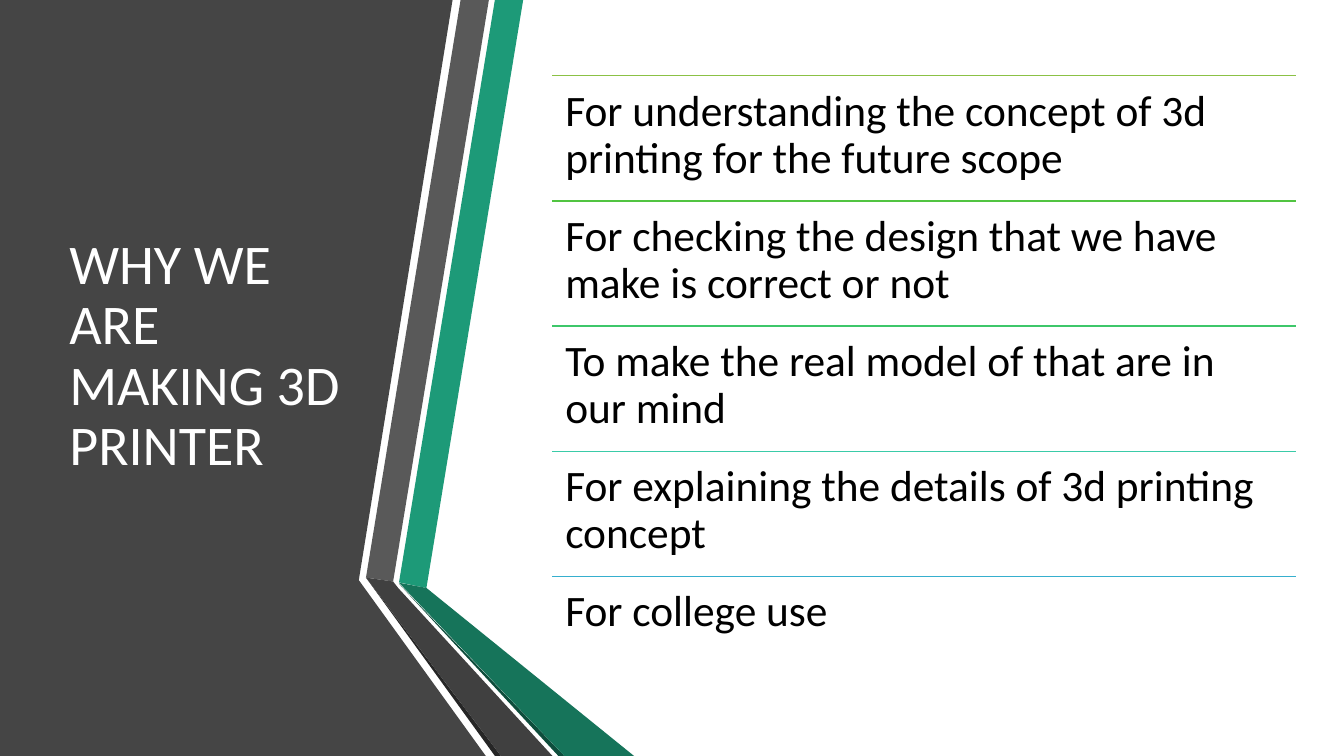
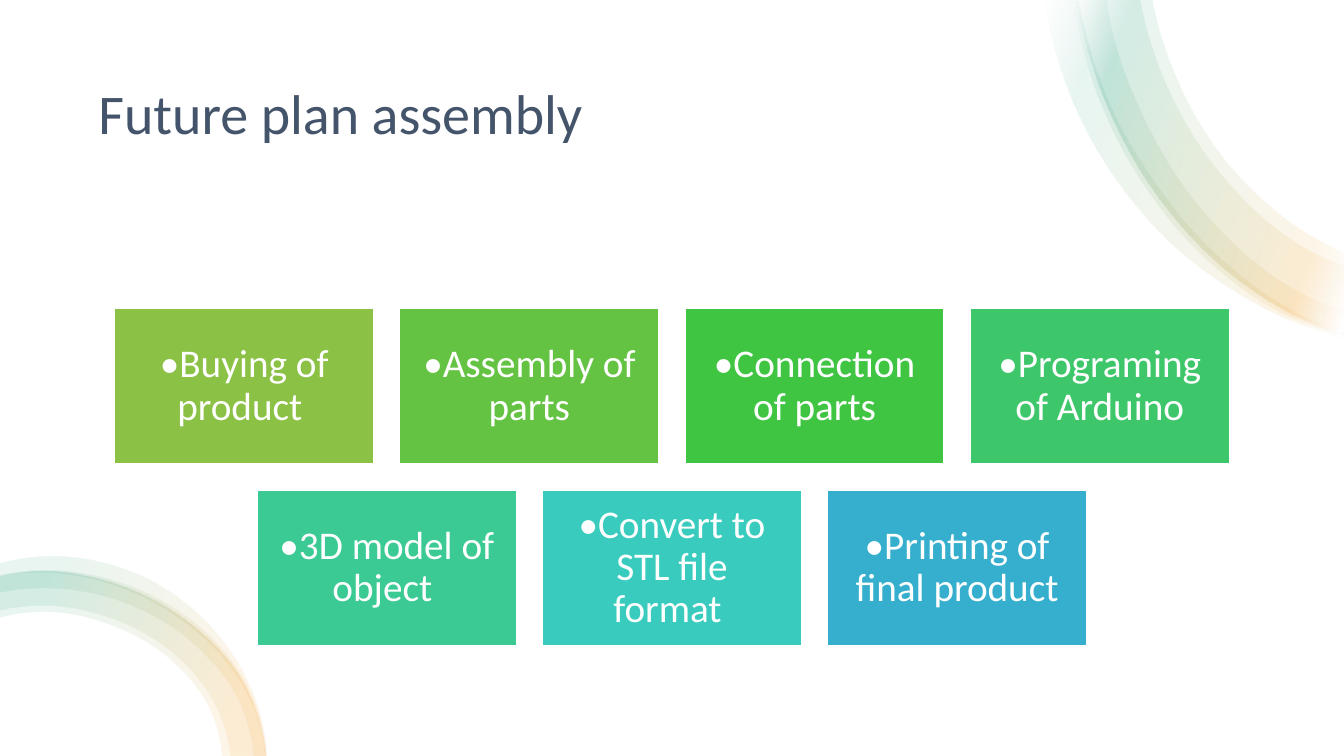
from math import dist

from lxml import etree
from pptx import Presentation
from pptx.dml.color import RGBColor
from pptx.enum.shapes import MSO_CONNECTOR, MSO_SHAPE
from pptx.enum.text import MSO_ANCHOR, PP_ALIGN
from pptx.oxml.ns import qn
from pptx.util import Pt

STRAIGHT = MSO_CONNECTOR.STRAIGHT
RECTANGLE = MSO_SHAPE.RECTANGLE
TOP, MIDDLE = MSO_ANCHOR.TOP, MSO_ANCHOR.MIDDLE
LEFT, CENTER = PP_ALIGN.LEFT, PP_ALIGN.CENTER

SLIDE_W, SLIDE_H = 960, 540
FONT = "Calibri"
TITLE_SIZE = 40
NBSP = chr(160)

COLORS = {
    "white": "FFFFFF", "black": "000000", "title": "44546A", "panel": "454545",
    "teal": "1D9A78", "teal_dark": "16745A", "teal_shadow": "0E4D3C",
    "gray": "595959", "gray_dark": "404040", "gray_shadow": "262626",
    "orange": "F19D19", "olive": "8BC145", "leaf": "65C343", "lime": "51C441",
    "green": "40C543", "emerald": "3EC76A", "mint": "3BCA93", "jade": "3ACBA8",
    "aqua": "39CCBE", "blue": "36AFCE",
}

REASONS_TITLE = "WHY WE ARE MAKING 3D PRINTER" + NBSP
REASONS = [
    ("For understanding the concept of 3d printing for the future scope", "olive"),
    ("For checking the" + NBSP + "design that we have make is correct or not" + NBSP,
     "lime"),
    ("To make the real model of that are in our mind" + NBSP, "emerald"),
    ("For explaining the details of 3d printing concept" + NBSP, "jade"),
    ("For college use" + NBSP, "blue"),
]

PLAN_TITLE = "Future plan assembly"
PLAN_ROWS = [
    [
        ("•Buying of product" + NBSP, "olive"),
        ("•Assembly of parts", "leaf"),
        ("•Connection of parts", "green"),
        ("•Programing of Arduino", "emerald"),
    ],
    [
        ("•3D model of object" + NBSP, "mint"),
        ("•Convert to STL file format" + NBSP, "aqua"),
        ("•Printing of final product", "blue"),
    ],
]

FOLDED_RIBBONS = [
    ("panel", [(0, 0), (323.3, 0), (256.3, 414.4), (347, 540), (0, 540)]),
    ("teal", [(285, 416), (304.6, 420), (373.7, 0), (353.5, 0)]),
    ("gray", [(349.2, 0), (329, 0), (261.4, 412.6), (280.8, 415.4)]),
    ("gray_shadow", [(261.4, 412.6), (353.5, 540), (357.8, 540)]),
    ("teal_shadow", [(285, 417), (398.9, 540), (403.2, 540)]),
    ("teal_dark", [(285, 416.3), (403.2, 540), (452.9, 540), (304.6, 420)]),
    ("gray_dark", [(394.6, 540), (284.4, 420), (280.8, 415.4),
                   (261.4, 412.6), (357.8, 540)]),
]

SWEEP_EDGE = [(769, 0), (791.3, 77), (829.4, 144), (880.6, 197.3),
              (942.5, 233.3), (960, 239)]
SWEEP_BANDS = [
    ([(746.6, 0), (749.5, 18.7), (776.2, 94.3), (812.2, 148.3), (838.8, 176.4),
      (879.1, 206.6), (923, 229.7), (960, 241.2)],
     [(770.4, 0), (779, 37.4), (796.3, 82.8), (820.8, 124.6), (850.3, 163.4),
      (885.6, 196.6), (925.9, 223.2), (960, 236.2)]),
    (SWEEP_EDGE,
     [(823, 0), (833.8, 39.6), (877.7, 118.1), (941, 171.4), (960, 180.7)]),
    ([(766.8, 0), (791.3, 85.7), (815, 128.9), (844.6, 167.8), (920.9, 226.1),
      (960, 239.8)],
     [(790.6, 0), (797, 31.7), (812.9, 74.9), (860.4, 151.9), (928.8, 208.8),
      (960, 221.8)]),
    (SWEEP_EDGE,
     [(814.3, 0), (825.8, 42.5), (871.2, 123.8), (936.7, 180), (960, 190.1)]),
]
CORNER_EDGE = [(0, 411.8), (28.8, 408.2), (84.2, 417.6), (133.2, 443.5),
               (169.9, 481.7), (189.4, 540)]
CORNER_BANDS = [
    (CORNER_EDGE,
     [(0, 441.4), (28.8, 437), (77, 445.7), (119.5, 469.4), (148.3, 504),
      (158.4, 540)]),
    (CORNER_EDGE,
     [(0, 436.3), (28.8, 432.7), (78.5, 441.4), (122.4, 465.8), (152.6, 501.8),
      (164.2, 540)]),
    ([(0, 411.1), (36, 407.5), (102.2, 422.6), (146.2, 451.4), (177.8, 493.2),
      (189.4, 540)],
     [(0, 423.4), (23.8, 420.5), (72.7, 425.5), (138.2, 460.1), (168.5, 497.5),
      (180.7, 540)]),
    ([(0, 402.5), (36.7, 397.4), (106.6, 414), (151.2, 448.6), (180, 494.6),
      (190.1, 540)],
     [(0, 411.8), (23, 409), (75.6, 416.2), (123.1, 438.5), (162, 473.8),
      (181.4, 507.6), (188.6, 540)]),
]
CORNER_STOPS = [(16, "orange"), (85, "teal")]
SWEEP_STOPS = [(2, "white"), *CORNER_STOPS, (100, "white")]
BAND_OPACITY = 10
BAND_ANGLE = 160


def rgb(color):
    return RGBColor.from_string(COLORS[color])


def write(frame, text, size, color, align=LEFT, anchor=MIDDLE, inset=(7.2, 3.6)):
    frame.word_wrap = True
    frame.vertical_anchor = anchor
    frame.margin_left = frame.margin_right = Pt(inset[0])
    frame.margin_top = frame.margin_bottom = Pt(inset[1])
    paragraph = frame.paragraphs[0]
    paragraph.alignment = align
    paragraph.line_spacing = 0.9
    run = paragraph.add_run()
    run.text = text
    run.font.name = FONT
    run.font.size = Pt(size)
    run.font.color.rgb = rgb(color)


def add_text(slide, box, text, **style):
    frame = slide.shapes.add_textbox(*map(Pt, box)).text_frame
    write(frame, text, **style)


def add_outline(slide, points):
    corners = [(Pt(x), Pt(y)) for x, y in points]
    builder = slide.shapes.build_freeform(*corners[0], scale=1.0)
    builder.add_line_segments(corners[1:], close=True)
    outline = builder.convert_to_shape()
    outline.shadow.inherit = False
    outline.line.fill.background()
    return outline


def curve_segments(knots):
    spans = [dist(a, b) for a, b in zip(knots, knots[1:])]
    slopes = [((bx - ax) / span, (by - ay) / span)
              for (ax, ay), (bx, by), span in zip(knots, knots[1:], spans)]
    inner = [
        tuple((u * after + v * before) / (before + after) for u, v in zip(s, t))
        for s, t, before, after in zip(slopes, slopes[1:], spans, spans[1:])
    ]
    first = tuple(2 * s - t for s, t in zip(slopes[0], inner[0]))
    last = tuple(2 * s - t for s, t in zip(slopes[-1], inner[-1]))
    tangents = [first, *inner, last]
    return [
        (tuple(p + u * span / 3 for p, u in zip(start, leave)),
         tuple(p - u * span / 3 for p, u in zip(end, arrive)),
         end)
        for start, end, leave, arrive, span
        in zip(knots, knots[1:], tangents, tangents[1:], spans)
    ]


def add_band(slide, outer, inner, stops):
    inner = inner[::-1]
    band = add_outline(slide, outer + inner)
    straight = list(band.element.iter(qn("a:lnTo")))
    curved = straight[:len(outer) - 1] + straight[len(outer):]
    for line, segment in zip(curved, curve_segments(outer) + curve_segments(inner)):
        bezier = etree.Element(qn("a:cubicBezTo"))
        for x, y in segment:
            etree.SubElement(bezier, qn("a:pt"), x=str(Pt(x) - band.left),
                             y=str(Pt(y) - band.top))
        line.getparent().replace(line, bezier)
    fill_band(band, stops)


def fill_band(band, stops):
    band.fill.gradient()
    band.fill.gradient_angle = BAND_ANGLE
    stop_list = band.element.spPr.find(".//" + qn("a:gsLst"))
    for default_stop in list(stop_list):
        stop_list.remove(default_stop)
    for position, color in stops:
        stop = etree.SubElement(stop_list, qn("a:gs"), pos=str(position * 1000))
        tone = etree.SubElement(stop, qn("a:srgbClr"), val=COLORS[color])
        etree.SubElement(tone, qn("a:alpha"), val=str(BAND_OPACITY * 1000))


def add_rule(slide, left, top, width, color):
    rule = slide.shapes.add_connector(
        STRAIGHT, Pt(left), Pt(top), Pt(left + width), Pt(top))
    rule.line.color.rgb = rgb(color)
    rule.line.width = Pt(1)
    etree.SubElement(rule.element.spPr, qn("a:effectLst"))


def add_panel(slide, box, color):
    panel = slide.shapes.add_shape(RECTANGLE, *map(Pt, box))
    panel.shadow.inherit = False
    panel.fill.solid()
    panel.fill.fore_color.rgb = rgb(color)
    panel.line.fill.background()
    return panel


def add_tile(slide, box, text, color):
    tile = add_panel(slide, box, color)
    tile.line.color.rgb = rgb("white")
    tile.line.width = Pt(1)
    write(tile.text_frame, text, size=28, color="white", align=CENTER,
          inset=(8.5, 8.5))


def build_reasons(slide):
    for color, points in FOLDED_RIBBONS:
        ribbon = add_outline(slide, points)
        ribbon.fill.solid()
        ribbon.fill.fore_color.rgb = rgb(color)
    add_text(slide, (42.5, 54, 218.9, 402), REASONS_TITLE, size=TITLE_SIZE,
             color="white")
    left, first_top, width, pitch = 394.5, 54.1, 531, 89.4
    for index, (reason, color) in enumerate(REASONS):
        top = first_top + index * pitch
        add_rule(slide, left, top, width, color)
        add_text(slide, (left, top, width, pitch), reason, size=31,
                 color="black", anchor=TOP, inset=(9.3, 9.3))


def build_plan(slide):
    add_panel(slide, (0, 0, SLIDE_W, SLIDE_H), "white")
    for bands, stops in ((SWEEP_BANDS, SWEEP_STOPS), (CORNER_BANDS, CORNER_STOPS)):
        for outer, inner in bands:
            add_band(slide, outer, inner, stops)
    add_text(slide, (63.2, 36, 833, 93.6), PLAN_TITLE, size=TITLE_SIZE,
             color="title")
    first_top, width, height, gap = 220.4, 185.1, 111, 18.6
    for row, steps in enumerate(PLAN_ROWS):
        row_width = len(steps) * (width + gap) - gap
        row_left = (SLIDE_W - row_width) / 2
        top = first_top + row * (height + gap)
        for column, (step, color) in enumerate(steps):
            left = row_left + column * (width + gap)
            add_tile(slide, (left, top, width, height), step, color)


def main():
    deck = Presentation()
    deck.slide_width, deck.slide_height = Pt(SLIDE_W), Pt(SLIDE_H)
    blank = deck.slide_layouts[6]
    for build in (build_reasons, build_plan):
        build(deck.slides.add_slide(blank))
    deck.save("out.pptx")


if __name__ == "__main__":
    main()
